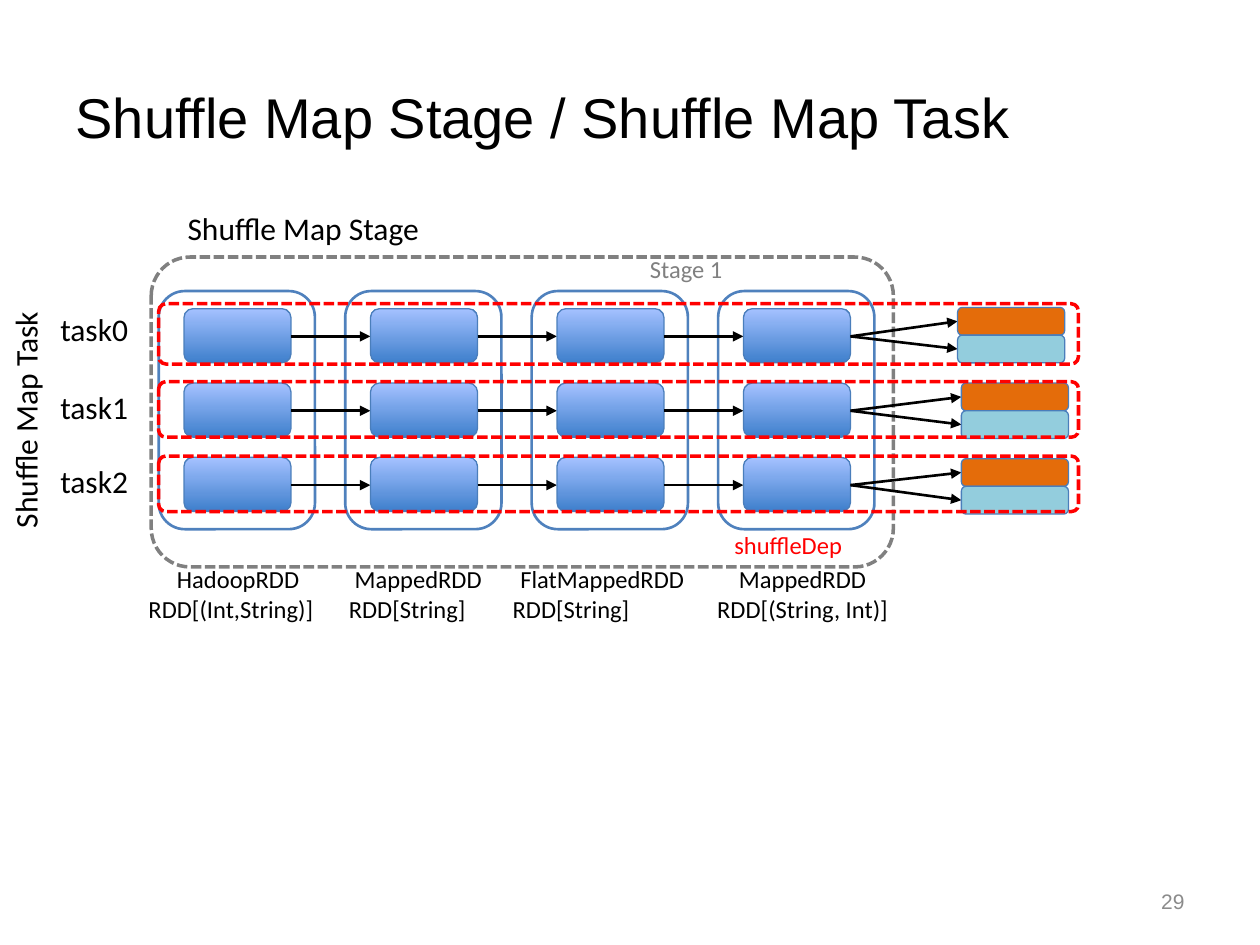
from pptx import Presentation
from pptx.dml.color import RGBColor
from pptx.enum.dml import MSO_LINE
from pptx.enum.shapes import MSO_CONNECTOR, MSO_SHAPE
from pptx.enum.text import MSO_ANCHOR, PP_ALIGN
from pptx.oxml.ns import qn
from pptx.util import Pt
from lxml import etree

ROUNDED = MSO_SHAPE.ROUNDED_RECTANGLE
STRAIGHT = MSO_CONNECTOR.STRAIGHT
DASHED = MSO_LINE.SQUARE_DOT, MSO_LINE.DASH
LEFT, CENTER, RIGHT = PP_ALIGN.LEFT, PP_ALIGN.CENTER, PP_ALIGN.RIGHT
MIDDLE = MSO_ANCHOR.MIDDLE
EMU_PER_PX = 9144
BLACK, GRAY, RED = "000000", "808080", "FF0000"
PANEL_LINE, BLOCK_LINE = "4F81BD", "4A7EBB"


def px(length):
    return length * EMU_PER_PX


def color(value):
    return RGBColor.from_string(value)


class StageSlide:
    """Draws the elements of a stage diagram in one shared style."""

    def __init__(self, slide):
        self.slide = slide
        self.body_font = "Calibri"
        self.title_font = "Arial"

    def style(self, paragraph, size, hex_color, font, align):
        paragraph.alignment = align
        for run in paragraph.runs:
            run.font.size = Pt(size)
            run.font.name = font
            run.font.color.rgb = color(hex_color)

    def title(self, text, left, top, width, height):
        title = self.slide.shapes.title
        title.left, title.top = px(left), px(top)
        title.width, title.height = px(width), px(height)
        title.text_frame.text = text
        title.text_frame.vertical_anchor = MIDDLE
        self.style(title.text_frame.paragraphs[0], 32, BLACK, self.title_font, LEFT)

    def label(self, text, left, top, width, height, size=18, hex_color=BLACK,
              aligns=(LEFT,), font=None, rotation=0):
        label = self.slide.shapes.add_textbox(px(left), px(top), px(width), px(height))
        label.rotation = rotation
        frame = label.text_frame
        frame.word_wrap = False
        frame.text = text
        for paragraph, align in zip(frame.paragraphs, aligns):
            self.style(paragraph, size, hex_color, font or self.body_font, align)
        return label

    def box(self, left, top, width, height, line, weight, fill=None, radius=0.167):
        box = self.slide.shapes.add_shape(ROUNDED, px(left), px(top), px(width), px(height))
        box.shadow.inherit = False
        box.adjustments[0] = radius
        box.line.color.rgb = color(line)
        box.line.width = Pt(weight)
        if fill:
            box.fill.solid()
            box.fill.fore_color.rgb = color(fill)
        else:
            box.fill.background()
        return box

    def partition(self, left, top):
        partition = self.box(left, top, 85, 43, BLOCK_LINE, 0.75)
        partition.fill.gradient()
        partition.fill.gradient_angle = 90
        for stop, shade in zip(partition.fill.gradient_stops, ("3E7FCC", "A4C1FF")):
            stop.color.rgb = color(shade)

    def frame(self, left, top, width, height, line):
        frame = self.box(left, top, width, height, line, 2, radius=0.125)
        frame.line.dash_style = DASHED[0]

    def arrow(self, x1, y1, x2, y2):
        arrow = self.slide.shapes.add_connector(STRAIGHT, px(x1), px(y1), px(x2), px(y2))
        arrow.line.color.rgb = color(BLACK)
        arrow.line.width = Pt(1.5)
        etree.SubElement(arrow.line._get_or_add_ln(), qn("a:tailEnd"), type="triangle")
        etree.SubElement(arrow._element.spPr, qn("a:effectLst"))


def main():
    prs = Presentation()
    prs.slide_width, prs.slide_height = px(1000), px(750)
    stage = StageSlide(prs.slides.add_slide(prs.slide_layouts[5]))
    stage.title("Shuffle Map Stage / Shuffle Map Task", 50, 30, 900, 125)

    rdd_lefts = [126 + 148 * column for column in range(4)]
    task_tops = [245 + 59 * row for row in range(3)]

    for rdd_left in rdd_lefts:
        stage.box(rdd_left, 231, 124, 189, PANEL_LINE, 1.5, "FFFFFF")
    for rdd_left in rdd_lefts:
        for task_top in task_tops:
            stage.partition(rdd_left + 20, task_top)
            if rdd_left != rdd_lefts[-1]:
                middle = task_top + 22
                stage.arrow(rdd_left + 105, middle, rdd_left + 168, middle)

    rdds = [
        ("HadoopRDD\nRDD[(Int,String)]", 108, 162, LEFT),
        ("MappedRDD\nRDD[String]", 267, 130, LEFT),
        ("FlatMappedRDD\nRDD[String]", 397, 162, LEFT),
        ("MappedRDD\nRDD[(String, Int)]", 553, 168, CENTER),
    ]
    for names, left, width, type_align in rdds:
        stage.label(names, left, 443, width, 56, 14, aligns=(CENTER, type_align))

    stage.frame(120, 204, 589, 246, GRAY)
    stage.label("Stage 1", 506, 197, 83, 33, 14, GRAY)
    stage.label("shuffleDep", 573, 416, 115, 33, 14, RED)
    stage.label("Shuffle Map Stage", 139, 161, 222, 40)
    stage.label("Shuffle Map Task", -85, 304, 210, 40, rotation=270)

    tasks = [
        ("task0", 241, 48, 760, 244),
        ("task1", 303, 44, 763, 304),
        ("task2", 362, 44, 763, 364),
    ]
    for (name, top, height, bucket_left, bucket_top), task_top in zip(tasks, task_tops):
        for offset, fill in ((0, "E46C0A"), (22, "93CDDD")):
            y = bucket_top + offset
            stage.arrow(rdd_lefts[-1] + 105, task_top + 22, bucket_left, y + 11)
            stage.box(bucket_left, y, 85, 22, BLOCK_LINE, 0.75, fill)
        stage.frame(126, top, 730, height, RED)
        stage.label(name, 38, top, 79, 40)

    number = stage.label("29", 717, 695, 233, 40, 12, "8B8B8B", (RIGHT,), stage.title_font)
    number.text_frame.word_wrap = True
    number.text_frame.vertical_anchor = MIDDLE
    prs.save("out.pptx")


if __name__ == "__main__":
    main()
